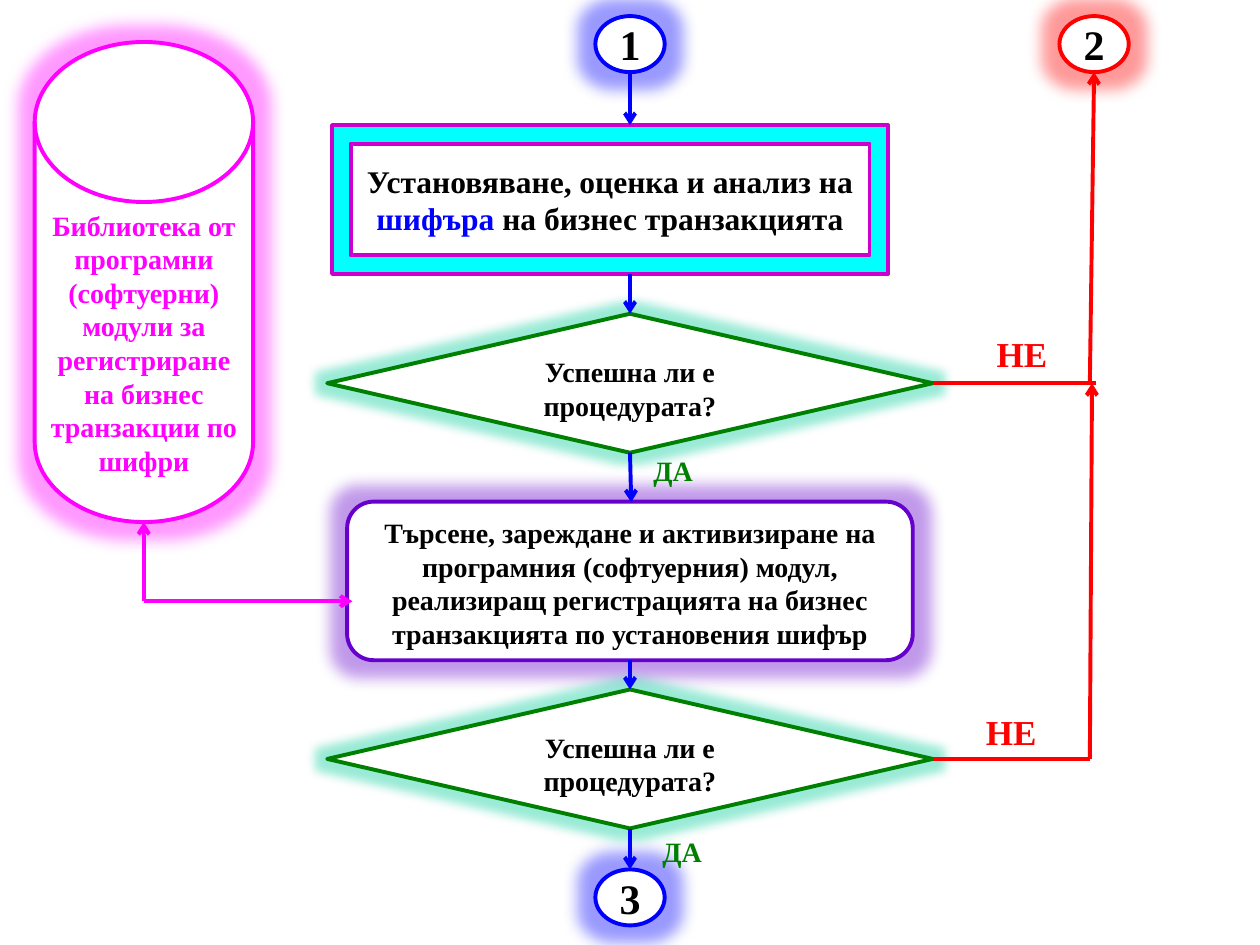
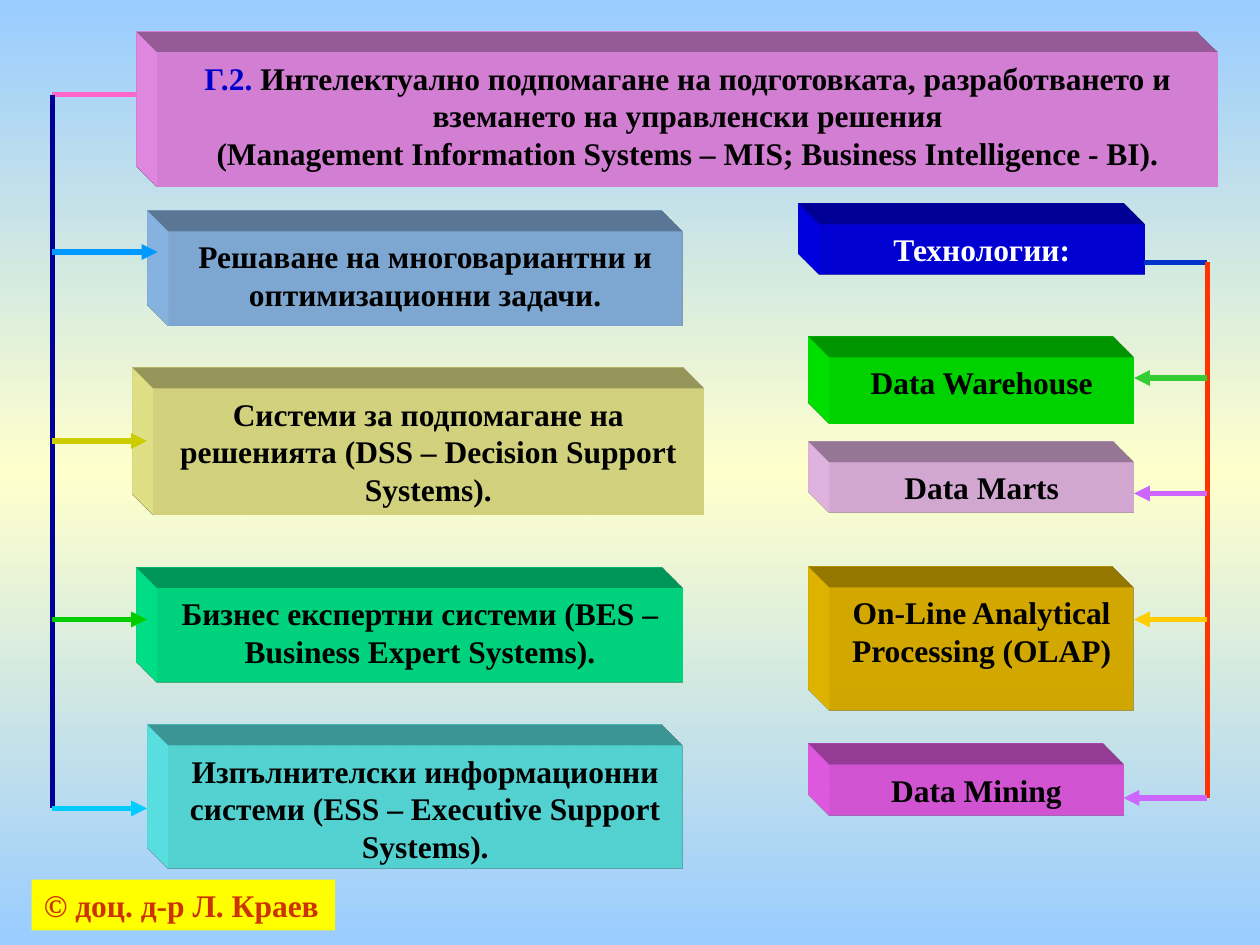
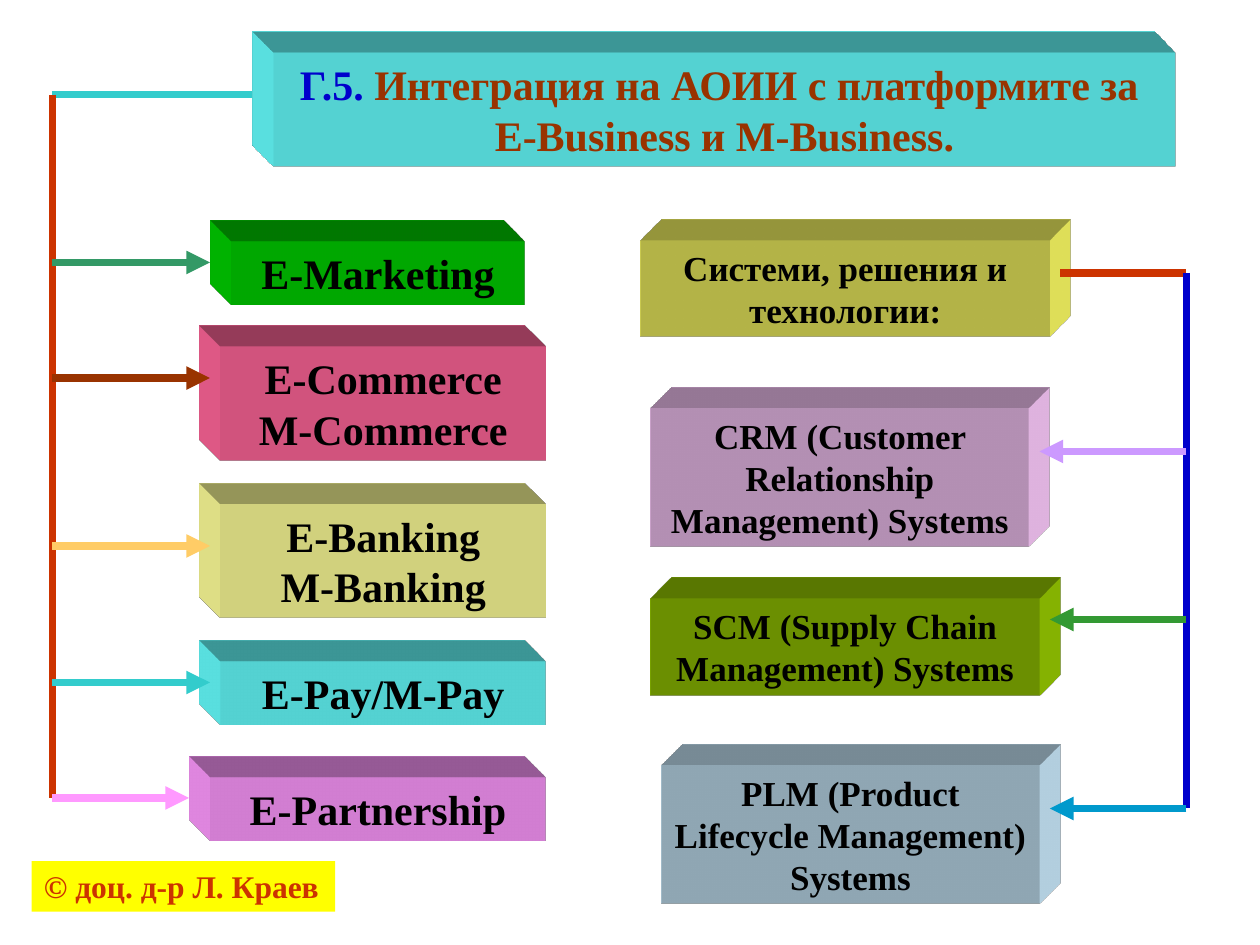
from dataclasses import dataclass
from typing import NamedTuple, Optional

from lxml.etree import SubElement
from pptx import Presentation
from pptx.dml.color import RGBColor
from pptx.enum.shapes import MSO_CONNECTOR as CONN, MSO_SHAPE as SHAPE
from pptx.enum.text import MSO_ANCHOR as ANCHOR, MSO_AUTO_SIZE as FIT, PP_ALIGN as ALIGN
from pptx.oxml.ns import qn
from pptx.util import Pt

COLORS = {
    "white": "FFFFFF", "black": "000000", "blue": "0000FF", "red": "FF0000",
    "cyan": "00FFFF", "violet": "CC00CC", "green": "008000", "mint": "00CC99",
    "purple": "6600CC", "magenta": "FF00FF", "yellow": "FFFF00", "rust": "CC3300",
    "navy": "0000CC", "deep_navy": "000099", "royal": "0033CC", "brown": "993300",
    "sky": "99CCFF", "cream": "FFFFCC", "pink": "FF99FF", "rose": "FF66CC",
    "sand": "FFFF99", "spring": "00FF99", "aqua": "66FFFF", "azure": "0099FF",
    "olive": "CCCC00", "leaf": "00CC00", "light_blue": "00CCFF", "lime": "00FF00",
    "blush": "FFCCFF", "gold": "FFCC00", "orchid": "FF66FF", "orange": "FF3300",
    "grass": "33CC33", "lilac": "CC66FF", "raspberry": "FF6699", "teal": "33CCCC",
    "sea": "339966", "apricot": "FFCC66", "lemon": "FFFF66", "moss": "99CC00",
    "ice": "CCECFF", "lavender": "CC99FF", "forest": "339933", "ocean": "0099CC",
}
FONT = "Times New Roman"
LEFT, RIGHT = "legacyObliqueTopLeft", "legacyObliqueTopRight"
AXIS = 360
QUESTION = "Успешна ли е процедурата?"


class Run(NamedTuple):
    text: str
    color: str = "black"


class Node(NamedTuple):
    kind: SHAPE
    x: float
    y: float
    w: float
    h: float
    line: str
    runs: list
    size: float = 16
    fill: str = "white"
    anchor: ANCHOR = ANCHOR.TOP
    glow: Optional[str] = None
    radius: float = 18


class Label(NamedTuple):
    text: str
    x: float
    y: float
    w: float
    h: float
    color: str
    size: float


class Arrow(NamedTuple):
    x1: float
    y1: float
    x2: float
    y2: float
    color: str
    head: Optional[str] = "arrow"


class Block(NamedTuple):
    x: float
    y: float
    w: float
    h: float
    fill: str
    runs: list
    size: float = 18
    camera: str = LEFT


class Branch(NamedTuple):
    y: float
    end: float
    color: str


@dataclass
class Tree:
    root_x: float
    root_color: str
    x: float
    y: float
    color: str
    branches: list


def rgb(name: str) -> RGBColor:
    return RGBColor.from_string(COLORS[name])


def write(sp, runs: list, size: float, align=ALIGN.CENTER, anchor=ANCHOR.TOP,
          fit=FIT.NONE, wrap: bool = True) -> None:
    tf = sp.text_frame
    for name, value in {"word_wrap": wrap, "auto_size": fit, "vertical_anchor": anchor}.items():
        setattr(tf, name, value)
    p = tf.paragraphs[0]
    p.alignment = align
    for text, color in runs:
        for i, part in enumerate(text.split("\n")):
            if i:
                p.add_line_break()
            r = p.add_run()
            r.text = part
            for name, value in {"name": FONT, "size": Pt(size), "bold": True}.items():
                setattr(r.font, name, value)
            r.font.color.rgb = rgb(color)


def add_filled(s, kind: SHAPE, x: float, y: float, w: float, h: float, fill: str):
    sp = s.shapes.add_shape(kind, Pt(x), Pt(y), Pt(w), Pt(h))
    sp.fill.solid()
    sp.fill.fore_color.rgb = rgb(fill)
    sp.line.fill.background()
    sp.shadow.inherit = False
    return sp


def add_node(s, n: Node) -> None:
    sp = add_filled(s, n.kind, n.x, n.y, n.w, n.h, n.fill)
    sp.line.color.rgb = rgb(n.line)
    sp.line.width = Pt(2.25)
    if n.glow:
        effects = sp.element.spPr.find(qn("a:effectLst"))
        glow = SubElement(effects, qn("a:glow"), rad=str(Pt(n.radius)))
        color = SubElement(glow, qn("a:srgbClr"), val=COLORS[n.glow])
        SubElement(color, qn("a:alpha"), val="40000")
    write(sp, n.runs, n.size, anchor=n.anchor)


def add_label(s, label: Label) -> None:
    sp = s.shapes.add_textbox(Pt(label.x), Pt(label.y), Pt(label.w), Pt(label.h))
    write(sp, [Run(label.text, label.color)], label.size, fit=FIT.SHAPE_TO_FIT_TEXT)


def add_arrow(s, a: Arrow, width: float) -> None:
    c = s.shapes.add_connector(CONN.STRAIGHT, Pt(a.x1), Pt(a.y1), Pt(a.x2), Pt(a.y2))
    c.line.color.rgb = rgb(a.color)
    c.line.width = Pt(width)
    spPr = c.element.spPr
    if a.head:
        SubElement(spPr.find(qn("a:ln")), qn("a:tailEnd"), type=a.head)
    SubElement(spPr, qn("a:effectLst"))


def add_block(s, b: Block) -> None:
    sp = add_filled(s, SHAPE.RECTANGLE, b.x, b.y, b.w, b.h, b.fill)
    spPr = sp.element.spPr
    scene = SubElement(spPr, qn("a:scene3d"))
    SubElement(scene, qn("a:camera"), prst=b.camera)
    SubElement(scene, qn("a:lightRig"), rig="legacyFlat3", dir="b")
    solid = SubElement(spPr, qn("a:sp3d"), extrusionH=str(Pt(33.87)), prstMaterial="legacyMatte")
    for bevel in ("a:bevelT", "a:bevelB"):
        SubElement(solid, qn(bevel), w="13500", h="13500", prst="angle")
    extrusion = SubElement(solid, qn("a:extrusionClr"))
    SubElement(extrusion, qn("a:srgbClr"), val=COLORS[b.fill])
    write(sp, b.runs, b.size, fit=FIT.SHAPE_TO_FIT_TEXT)


def add_tree(s, t: Tree, width: float) -> None:
    add_arrow(s, Arrow(t.root_x, t.y, t.x, t.y, t.root_color, None), width)
    add_arrow(s, Arrow(t.x, t.y, t.x, t.branches[-1].y, t.color, None), width)
    for b in t.branches:
        add_arrow(s, Arrow(t.x, b.y, b.end, b.y, b.color, "triangle"), width)


def add_author(s, y: float) -> None:
    sp = add_filled(s, SHAPE.RECTANGLE, 18, y, 173.5, 29, "yellow")
    write(sp, [Run("© доц. д-р Л. Краев", "rust")], 18, ALIGN.LEFT,
          fit=FIT.SHAPE_TO_FIT_TEXT, wrap=False)


def set_gradient(s, stops: list) -> None:
    fill = s.background.fill
    fill.gradient()
    fill.gradient_angle = 270
    gs_list = s.element.find(".//" + qn("a:gsLst"))
    for gs in list(gs_list):
        gs_list.remove(gs)
    for pos, name in stops:
        gs = SubElement(gs_list, qn("a:gs"), pos=str(pos * 1000))
        SubElement(gs, qn("a:srgbClr"), val=COLORS[name])


def page_ref(text: str, center: float, y: float, color: str) -> Node:
    return Node(SHAPE.FLOWCHART_CONNECTOR, center - 19.8, y, 39.6, 32, color, [Run(text)],
                24, anchor=ANCHOR.MIDDLE, glow=color)


def decision(y: float) -> Node:
    return Node(SHAPE.DIAMOND, AXIS - 173, y, 346, 79.4, "green", [Run(QUESTION)],
                glow="mint", radius=11)


def build_flowchart(s) -> None:
    nodes = [
        page_ref("1", AXIS, 9.2, "blue"),
        Node(SHAPE.FRAME, 189.8, 71.5, 317.7, 85, "violet",
             [Run("Установяване, оценка и анализ на "), Run("шифъра", "blue"),
              Run(" на бизнес транзакцията")], 18, "cyan", ANCHOR.MIDDLE),
        decision(179.3),
        page_ref("2", 625.2, 9.2, "red"),
        Node(SHAPE.FLOWCHART_ALTERNATE_PROCESS, 198.4, 286.7, 323.2, 90.6, "purple",
             [Run("Търсене, зареждане и активизиране на програмния (софтуерния) модул, "
                  "реализиращ регистрацията на бизнес транзакцията по установения шифър")],
             glow="purple"),
        Node(SHAPE.FLOWCHART_MAGNETIC_DISK, 19.8, 24, 124.8, 274.3, "magenta",
             [Run("Библиотека от програмни (софтуерни) модули за регистриране "
                  "на бизнес транзакции по шифри", "magenta")], glow="magenta"),
        page_ref("3", AXIS, 496.8, "blue"),
        decision(394),
    ]
    arrows = [
        Arrow(AXIS, 41.2, AXIS, 71.5, "blue"),
        Arrow(AXIS, 156.7, AXIS, 179.3, "blue"),
        Arrow(AXIS, 258.7, 360.7, 287, "blue"),
        Arrow(AXIS, 377.3, AXIS, 394, "blue"),
        Arrow(AXIS, 473.5, AXIS, 496.8, "blue"),
        Arrow(533, 219, 626.4, 219, "red", None),
        Arrow(622.8, 219, 625.2, 41.2, "red"),
        Arrow(533, 433.7, 622.8, 433.7, "red", None),
        Arrow(622.8, 433.7, 624, 219, "red"),
        Arrow(82.2, 343.6, 201.4, 343.6, "magenta"),
        Arrow(82.2, 343.6, 82.2, 298.3, "magenta"),
    ]
    labels = [
        Label("НЕ", 558.5, 186.5, 51, 31.5, "red", 20),
        Label("ДА", 362, 255.8, 45.2, 26.6, "green", 16),
        Label("ДА", 370, 473.5, 39.5, 26.6, "green", 16),
        Label("НЕ", 552.4, 402.5, 51, 31.5, "red", 20),
    ]
    for n in nodes:
        add_node(s, n)
    for a in arrows:
        add_arrow(s, a, 2.25)
    for label in labels:
        add_label(s, label)


def build_outline(s, blocks: list, trees: list, width: float, author_y: float) -> None:
    add_author(s, author_y)
    for b in blocks:
        add_block(s, b)
    for t in trees:
        add_tree(s, t, width)


def build_decision_support(s) -> None:
    set_gradient(s, [(0, "sky"), (50, "cream"), (100, "sky")])
    blocks = [
        Block(90, 30, 606, 76.6, "pink", [
            Run("Г.2. ", "navy"),
            Run("Интелектуално подпомагане на подготовката, разработването и вземането "
                "на управленски решения\n(Management Information Systems – MIS; "
                "Business Intelligence - BI).")]),
        Block(87.6, 222, 314.4, 72, "sand",
              [Run("Системи за подпомагане на решенията (DSS – Decision Support Systems).")]),
        Block(90, 336, 300, 54, "spring",
              [Run("Бизнес експертни системи (BES – Business Expert Systems).")]),
        Block(96, 426, 294, 70.5, "aqua",
              [Run("Изпълнителски информационни системи (ESS – Executive Support Systems).")]),
        Block(96, 132, 294, 54, "sky",
              [Run("Решаване на многовариантни и оптимизационни задачи.")]),
        Block(468, 128, 186, 29, "blue", [Run("Технологии:", "white")]),
        Block(474, 204, 174, 38, "lime", [Run("Data Warehouse")]),
        Block(474, 264, 174, 29, "blush", [Run("Data Marts")]),
        Block(474, 335.5, 174, 70.5, "gold", [Run("On-Line Analytical Processing (OLAP)")]),
        Block(474, 437, 168, 29, "orchid", [Run("Data Mining")]),
    ]
    trees = [
        Tree(78, "rose", 30, 54, "deep_navy", [
            Branch(144, 90, "azure"), Branch(252, 84, "olive"),
            Branch(354, 84, "leaf"), Branch(462, 84, "light_blue")]),
        Tree(654, "royal", 690, 150, "orange", [
            Branch(216, 648, "grass"), Branch(282, 648, "lilac"),
            Branch(354, 648, "gold"), Branch(456, 642, "lilac")]),
    ]
    build_outline(s, blocks, trees, 3, 502.7)


def build_business_platforms(s) -> None:
    blocks = [
        Block(156, 30, 516, 65.3, "aqua", [
            Run("Г.5.", "navy"),
            Run(" Интеграция на АОИИ с платформите за \nE-Business и M-Business.", "brown")], 24),
        Block(132, 138, 168, 36.3, "leaf", [Run("E-Marketing")], 24),
        Block(126, 198, 186, 65, "raspberry", [Run("E-Commerce\nM-Commerce")], 24),
        Block(126, 288, 186, 65, "sand", [Run("E-Banking\nM-Banking")], 24),
        Block(126, 378, 186, 36.3, "aqua", [Run("E-Pay/M-Pay")], 24),
        Block(120, 444, 192, 36.3, "pink", [Run("E-Partnership")], 24),
        Block(366, 137.3, 234, 55.3, "lemon", [Run("Системи, решения и технологии:")], 20, RIGHT),
        Block(372, 233.3, 216, 79.3, "blush",
              [Run("CRM (Customer Relationship Management) Systems")], 20, RIGHT),
        Block(372, 342, 222, 55.3, "moss",
              [Run("SCM (Supply Chain Management) Systems")], 20, RIGHT),
        Block(378, 437.3, 216, 79.3, "ice",
              [Run("PLM (Product Lifecycle Management) Systems")], 20, RIGHT),
    ]
    trees = [
        Tree(144, "teal", 30, 54, "rust", [
            Branch(150, 120, "sea"), Branch(216, 120, "brown"), Branch(312, 120, "apricot"),
            Branch(390, 120, "teal"), Branch(456, 108, "pink")]),
        Tree(606, "rust", 678, 156, "navy", [
            Branch(258, 594, "lavender"), Branch(354, 600, "forest"),
            Branch(462, 600, "ocean")]),
    ]
    build_outline(s, blocks, trees, 4.5, 492)


def main() -> None:
    prs = Presentation()
    prs.slide_width, prs.slide_height = Pt(720), Pt(540)
    for build in (build_flowchart, build_decision_support, build_business_platforms):
        build(prs.slides.add_slide(prs.slide_layouts[6]))
    prs.save("out.pptx")


if __name__ == "__main__":
    main()
